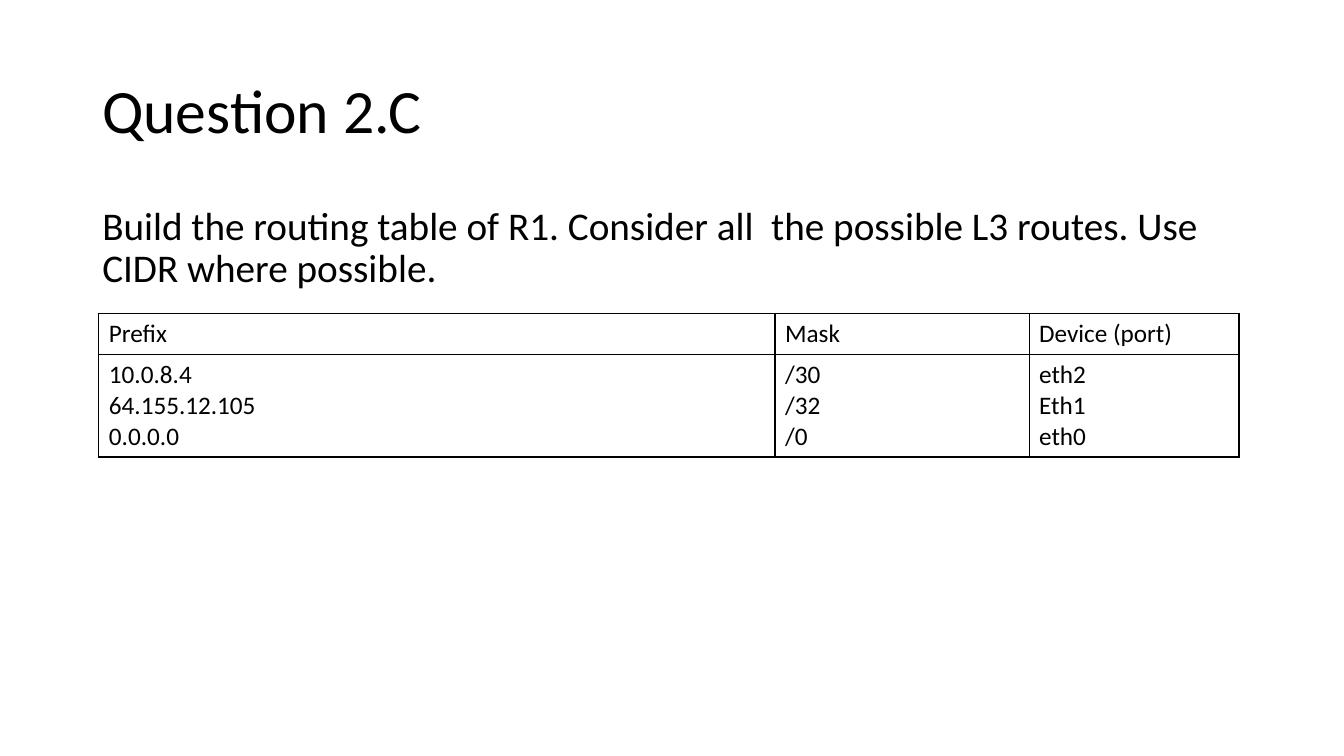
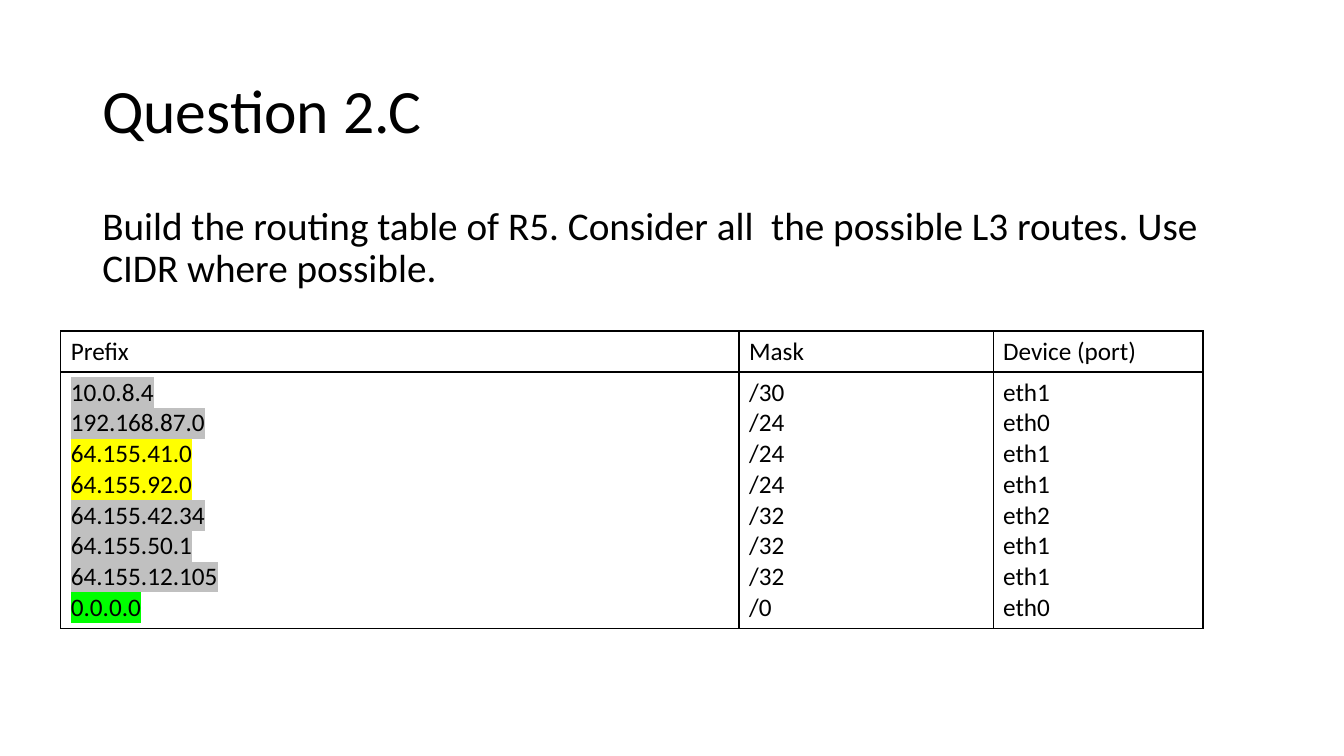
from lxml.etree import SubElement
from pptx import Presentation
from pptx.dml.color import RGBColor
from pptx.enum.text import MSO_ANCHOR as Anchor
from pptx.oxml import parse_xml
from pptx.oxml.ns import nsdecls, qn
from pptx.util import Pt

BLACK = RGBColor(0x00, 0x00, 0x00)
SILVER = RGBColor(0xC0, 0xC0, 0xC0)
YELLOW = RGBColor(0xFF, 0xFF, 0x00)
LIME = RGBColor(0x00, 0xFF, 0x00)
FONT = "Calibri"

TITLE_BOX = (66, 28.8, 828, 104.4)
TASK_BOX = (66, 144, 828, 69)
HEADER = ("Prefix", "Mask", "Device (port)")
HEADER_HEIGHT = 29.3
LINE_HEIGHT = 22
CELL_PADDING = 7.2
MASK_WIDTH, DEVICE_WIDTH = 181.5, 150

QUESTIONS = [
    {
        "router": "R1",
        "box": (70.6, 223.9, 814.5),
        "routes": [
            ("10.0.8.4", "/30", "eth2", None),
            ("64.155.12.105", "/32", "Eth1", None),
            ("0.0.0.0", "/0", "eth0", None),
        ],
    },
    {
        "router": "R5",
        "box": (43.4, 236.4, 816),
        "routes": [
            ("10.0.8.4", "/30", "eth1", SILVER),
            ("192.168.87.0", "/24", "eth0", SILVER),
            ("64.155.41.0", "/24", "eth1", YELLOW),
            ("64.155.92.0", "/24", "eth1", YELLOW),
            ("64.155.42.34", "/32", "eth2", SILVER),
            ("64.155.50.1", "/32", "eth1", SILVER),
            ("64.155.12.105", "/32", "eth1", SILVER),
            ("0.0.0.0", "/0", "eth0", LIME),
        ],
    },
]


def add_run(paragraph, text, size, highlight=None):
    run = paragraph.add_run()
    run.text = text
    for name, value in {"size": Pt(size), "name": FONT}.items():
        setattr(run.font, name, value)
    run.font.color.rgb = BLACK
    if highlight is not None:
        marker = parse_xml(f"<a:highlight {nsdecls('a')}/>")
        SubElement(marker, qn("a:srgbClr"), val=str(highlight))
        run.font.fill._xPr.find(qn("a:solidFill")).addnext(marker)


def add_text(slide, box, text, size, anchor, space_before=0):
    frame = slide.shapes.add_textbox(*map(Pt, box)).text_frame
    frame.word_wrap = True
    frame.vertical_anchor = anchor
    paragraph = frame.paragraphs[0]
    paragraph.line_spacing = 0.9
    paragraph.space_before = Pt(space_before)
    add_run(paragraph, text, size)


def outline_cell(cell):
    cell.fill.background()
    properties = cell._tc.get_or_add_tcPr()
    for position, side in enumerate(("lnL", "lnR", "lnT", "lnB")):
        properties.insert(position, parse_xml(
            f'<a:{side} {nsdecls("a")} w="{Pt(1)}"><a:solidFill>'
            f'<a:srgbClr val="{BLACK}"/></a:solidFill></a:{side}>'))


def fill_cell(cell, lines, highlights):
    outline_cell(cell)
    frame = cell.text_frame
    for index, (line, highlight) in enumerate(zip(lines, highlights)):
        paragraph = frame.add_paragraph() if index else frame.paragraphs[0]
        add_run(paragraph, line, 18, highlight)


def add_routing_table(slide, box, routes):
    left, top, width = box
    heights = (HEADER_HEIGHT, CELL_PADDING + LINE_HEIGHT * len(routes))
    widths = (width - MASK_WIDTH - DEVICE_WIDTH, MASK_WIDTH, DEVICE_WIDTH)
    table = slide.shapes.add_table(
        2, 3, Pt(left), Pt(top), Pt(width), Pt(sum(heights))).table
    table.first_row = table.horz_banding = False
    for row, height in zip(table.rows, heights):
        row.height = Pt(height)
    *fields, highlights = zip(*routes)
    plain = [None] * len(routes)
    for index, (heading, lines) in enumerate(zip(HEADER, fields)):
        table.columns[index].width = Pt(widths[index])
        fill_cell(table.cell(0, index), [heading], plain)
        fill_cell(table.cell(1, index), lines, plain if index else highlights)


def add_question(deck, router, box, routes):
    slide = deck.slides.add_slide(deck.slide_layouts[6])
    add_text(slide, TITLE_BOX, "Question 2.C", 44, Anchor.MIDDLE)
    task = (f"Build the routing table of {router}. Consider all  the possible "
            "L3 routes. Use CIDR where possible.")
    add_text(slide, TASK_BOX, task, 28, Anchor.TOP, space_before=10)
    add_routing_table(slide, box, routes)


def main():
    deck = Presentation()
    deck.slide_width, deck.slide_height = Pt(960), Pt(540)
    for question in QUESTIONS:
        add_question(deck, **question)
    deck.save("out.pptx")


if __name__ == "__main__":
    main()
